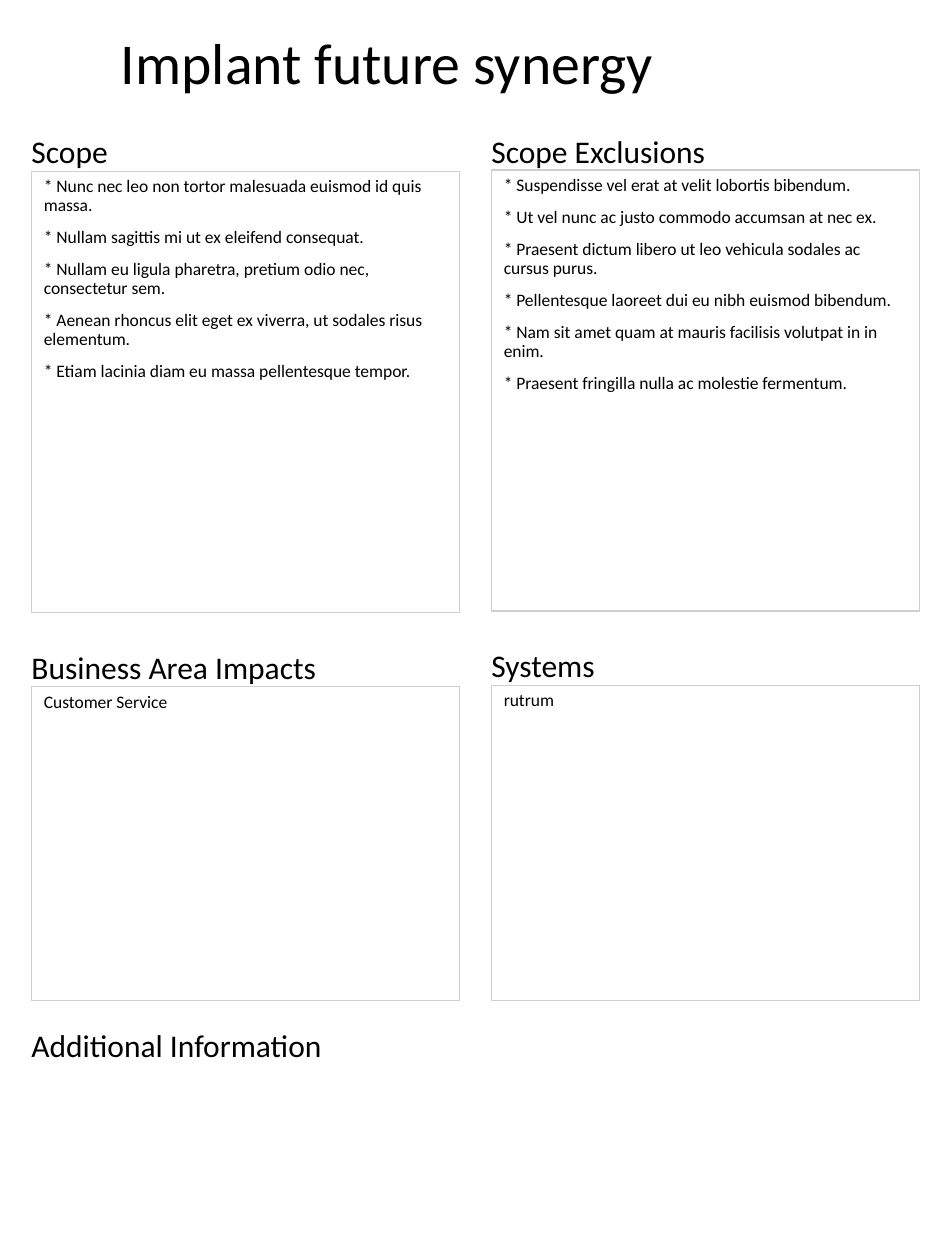
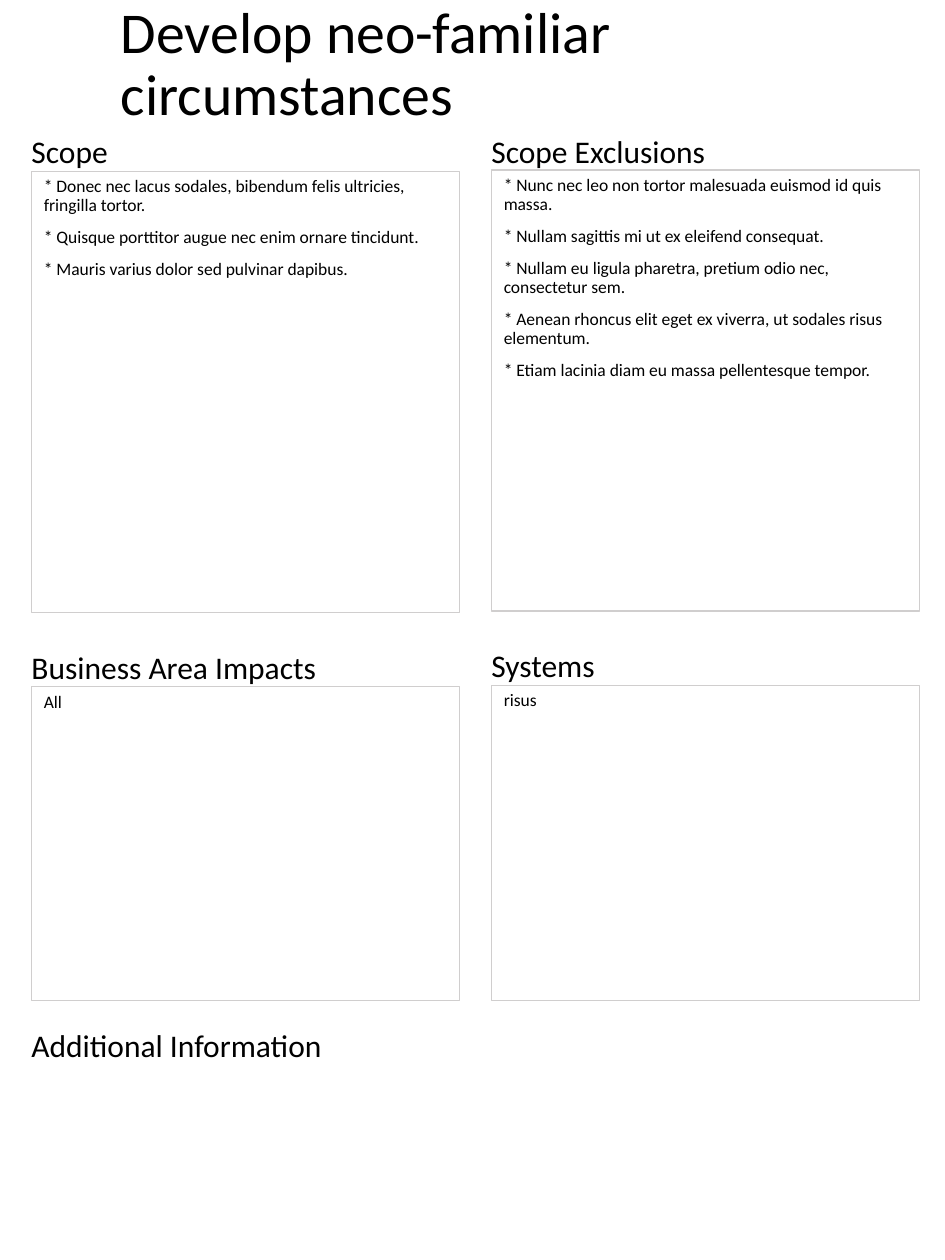
import pptx
import pptx.util
import pptx.dml.color
import pptx.enum.shapes
import pptx.enum.text
from pptx.util import Inches

FONT = "Calibri"
BLACK = "000000"
BORDER = "D0CECE"

LEFT, RIGHT = 0.25, 3.9
COLUMN_WIDTH = 3.4
HEADING_HEIGHT = 0.3

# Section heading: left, top, wraps
HEADINGS = {
    "Scope": (LEFT, 1.05, True),
    "Scope Exclusions": (RIGHT, 1.05, False),
    "Business Area Impacts": (LEFT, 5.14, True),
    "Systems": (RIGHT, 5.13, False),
    "Additional Information": (LEFT, 8.14, True),
}

# Section panel: left, top, height
PANELS = {
    "Scope": (LEFT, 1.36, 3.5),
    "Scope Exclusions": (RIGHT, 1.35, 3.5),
    "Business Area Impacts": (LEFT, 5.45, 2.49),
    "Systems": (RIGHT, 5.44, 2.5),
}

# The first project's scope is excluded from the second
SYNERGY_SCOPE = [
    "* Nunc nec leo non tortor malesuada euismod id quis massa.",
    "* Nullam sagittis mi ut ex eleifend consequat.",
    "* Nullam eu ligula pharetra, pretium odio nec, consectetur sem.",
    "* Aenean rhoncus elit eget ex viverra, ut sodales risus elementum.",
    "* Etiam lacinia diam eu massa pellentesque tempor.",
]

PROJECTS = {
    "Implant future synergy": {
        "Scope": SYNERGY_SCOPE,
        "Scope Exclusions": [
            "* Suspendisse vel erat at velit lobortis bibendum.",
            "* Ut vel nunc ac justo commodo accumsan at nec ex.",
            "* Praesent dictum libero ut leo vehicula sodales ac cursus purus.",
            "* Pellentesque laoreet dui eu nibh euismod bibendum.",
            "* Nam sit amet quam at mauris facilisis volutpat in in enim.",
            "* Praesent fringilla nulla ac molestie fermentum.",
        ],
        "Business Area Impacts": ["Customer Service"],
        "Systems": ["rutrum"],
    },
    "Develop neo-familiar circumstances": {
        "Scope": [
            "* Donec nec lacus sodales, bibendum felis ultricies, fringilla tortor.",
            "* Quisque porttitor augue nec enim ornare tincidunt.",
            "* Mauris varius dolor sed pulvinar dapibus.",
        ],
        "Scope Exclusions": SYNERGY_SCOPE,
        "Business Area Impacts": ["All"],
        "Systems": ["risus"],
    },
}


def color(value):
    return pptx.dml.color.RGBColor.from_string(value)


def write(frame, lines, size, spacing=None, gap=None):
    """Fill a text frame with one left-aligned paragraph per line."""
    frame.text = "\n".join(lines)
    for index, para in enumerate(frame.paragraphs):
        para.alignment = pptx.enum.text.PP_ALIGN.LEFT
        if spacing:
            para.line_spacing = spacing
        if gap and index:
            para.space_before = pptx.util.Pt(gap)
        for span in para.runs:
            span.font.name = FONT
            span.font.size = pptx.util.Pt(size)
            span.font.color.rgb = color(BLACK)


def add_label(page, text, left, top, width, height, size, wraps=True, spacing=None):
    """Add a text box without insets."""
    box = page.shapes.add_textbox(Inches(left), Inches(top), Inches(width), Inches(height))
    frame = box.text_frame
    frame.margin_left = frame.margin_top = frame.margin_right = frame.margin_bottom = 0
    frame.word_wrap = wraps
    write(frame, [text], size, spacing)
    return box


def add_title(page, text):
    box = add_label(page, text, 0.96, 0.27, 6.25, 0.5, 33, spacing=0.9)
    box.text_frame.vertical_anchor = pptx.enum.text.MSO_ANCHOR.MIDDLE


def add_panel(page, lines, left, top, height):
    """Add a thinly outlined box of notes."""
    panel = page.shapes.add_shape(
        pptx.enum.shapes.MSO_SHAPE.RECTANGLE,
        Inches(left), Inches(top), Inches(COLUMN_WIDTH), Inches(height))
    panel.shadow.inherit = False
    panel.fill.background()
    panel.line.color.rgb = color(BORDER)
    panel.line.width = pptx.util.Pt(0.75)
    frame = panel.text_frame
    frame.word_wrap = True
    frame.vertical_anchor = pptx.enum.text.MSO_ANCHOR.TOP
    write(frame, lines, 10, spacing=0.9, gap=7.5)


def add_project(deck, title, sections):
    page = deck.slides.add_slide(deck.slide_layouts[6])
    for heading, (left, top, wraps) in HEADINGS.items():
        add_label(page, heading, left, top, COLUMN_WIDTH, HEADING_HEIGHT, 18, wraps)
    add_title(page, title)
    for section, place in PANELS.items():
        add_panel(page, sections[section], *place)


def main():
    deck = pptx.Presentation()
    deck.slide_width = Inches(7.5)
    deck.slide_height = Inches(10)
    for title, sections in PROJECTS.items():
        add_project(deck, title, sections)
    deck.save("out.pptx")


if __name__ == "__main__":
    main()
